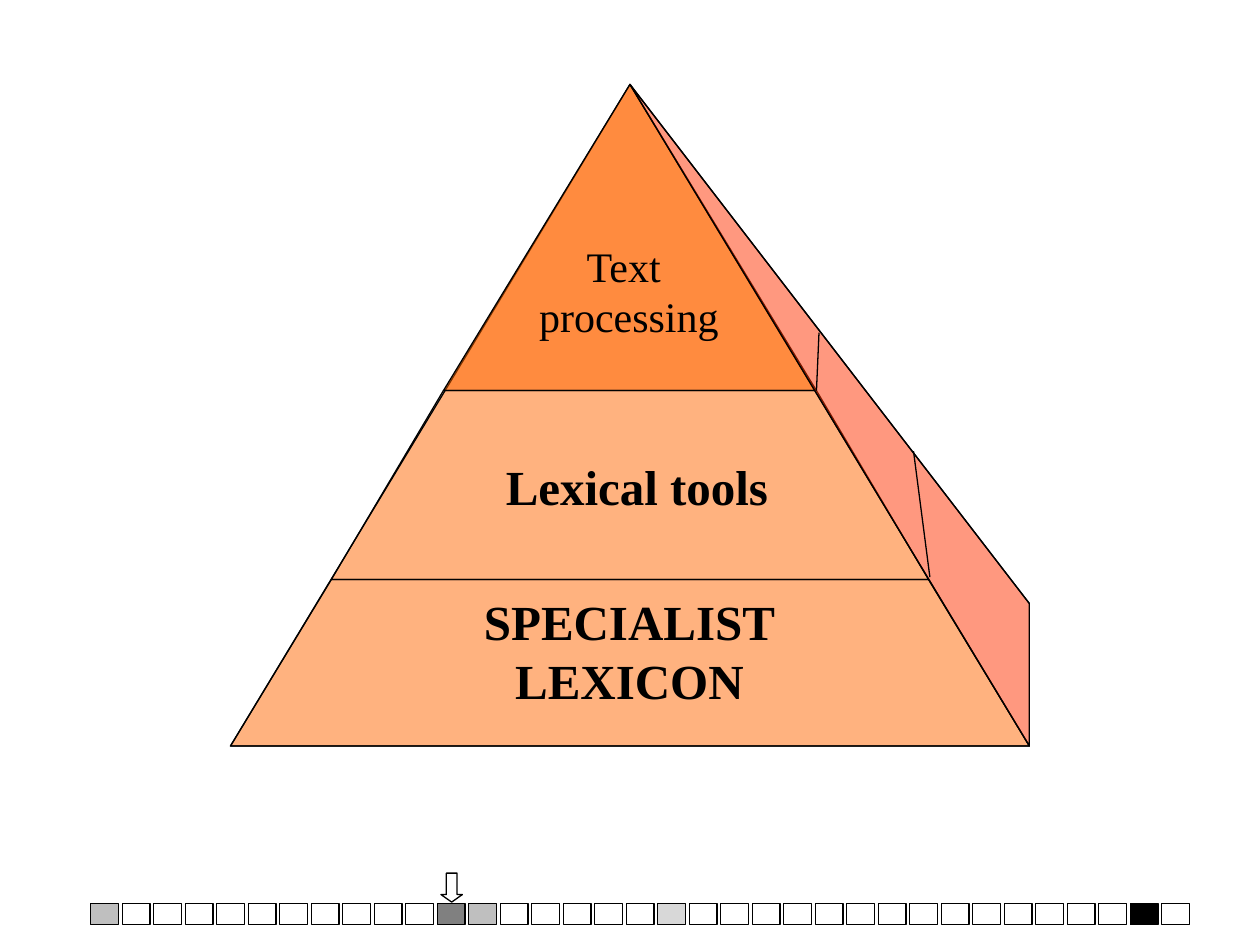
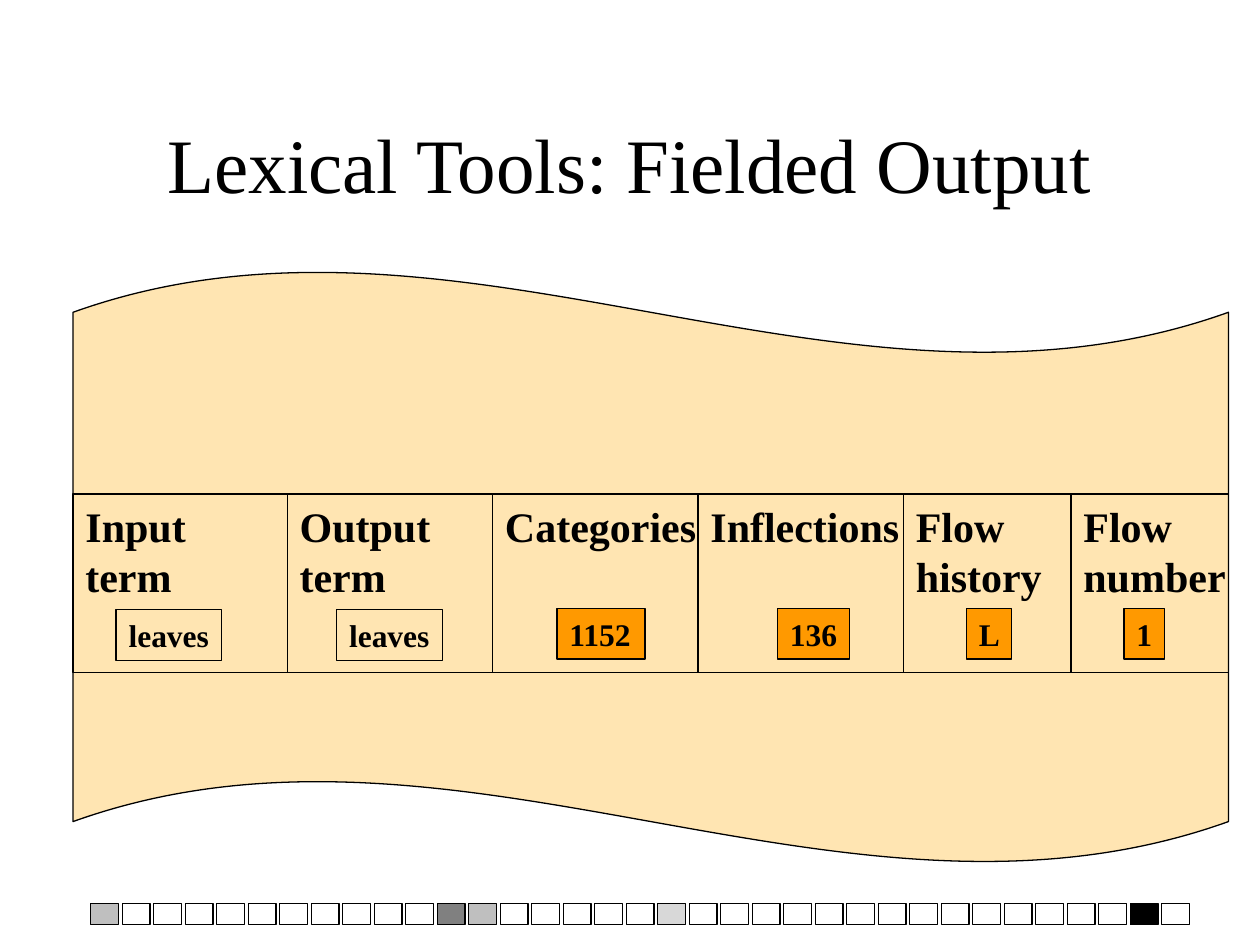
from lxml import etree
from pptx import Presentation
from pptx import util as u
from pptx.dml.color import RGBColor
from pptx.enum import shapes, text
from pptx.oxml.ns import qn

FONT = "Times New Roman"
LINE_WIDTH = 0.75
COLORS = {
    "ink": "000000", "paper": "FFFFFF", "gray": "808080", "silver": "B2B2B2",
    "orange": "FF6600", "red": "FF3300", "sand": "FFCC66", "amber": "FF9900",
}

# Progress strip: square index -> (colour, opacity in percent)
SQUARE_COUNT, SQUARE_STEP = 35, 0.25
SQUARE_LEFT, SQUARE_TOP, SQUARE_SIZE = 0.72, 7.17, (0.22, 0.17)
MARKED_SQUARES = {0: ("gray", 50), 11: ("gray", 100), 12: ("gray", 50),
                  18: ("silver", 50), 33: ("ink", 100)}
CURRENT_SQUARE = 11

# Pyramid corners, from the apex down
APEX = (5, 0.67)
UPPER_LEFT, UPPER_RIGHT = (3.52, 3.10), (6.48, 3.10)
LOWER_LEFT, LOWER_RIGHT = (2.63, 4.60), (7.37, 4.60)
BASE_LEFT, BASE_RIGHT = (1.83, 5.92), (8.17, 5.92)
BACK_CORNER = (8.17, 4.79)
TIERS = [  # corners, colour
    ([UPPER_LEFT, APEX, UPPER_RIGHT], "orange"),
    ([LOWER_LEFT, UPPER_LEFT, UPPER_RIGHT, LOWER_RIGHT], None),
    ([BASE_LEFT, LOWER_LEFT, LOWER_RIGHT, BASE_RIGHT], None),
    ([BASE_RIGHT, APEX, BACK_CORNER], "red"),
]
EDGES = [(APEX, BACK_CORNER), (BASE_RIGHT, BACK_CORNER),
         ((7.38, 4.58), (7.25, 3.58)), (UPPER_RIGHT, (6.50, 2.64))]
TIER_LABELS = [  # lines, box, size, bold
    (["Text", " processing"], (4.01, 1.79, 1.88, 1.03), 24, False),
    (["Lexical tools"], (3.52, 3.48, 3.07, 0.75), 28, True),
    (["SPECIALIST", "LEXICON"], (2.72, 4.60, 4.55, 1.12), 28, True),
]

# Output record: heading lines, column left, value, value box, value colour
TITLE = "Lexical Tools: Fielded Output"
FIELDS = [
    (["Input", "term"], 0.58, "leaves", (0.92, 4.84, 0.84, 0.4), None),
    (["Output", "term"], 2.28, "leaves", (2.67, 4.84, 0.84, 0.4), None),
    (["Categories"], 3.91, "1152", (4.42, 4.83, 0.70, 0.4), "amber"),
    (["Inflections"], 5.54, "136", (6.17, 4.83, 0.57, 0.4), "amber"),
    (["Flow", "history"], 7.17, "L", (7.67, 4.83, 0.36, 0.4), "amber"),
    (["Flow", "number"], 8.50, "1", (8.92, 4.83, 0.32, 0.4), "amber"),
]
RECORD_RIGHT, RECORD_TOP, RECORD_HEIGHT = 9.75, 3.92, 1.42


def inches(values):
    return [u.Inches(value) for value in values]


def rgb(name):
    return RGBColor.from_string(COLORS[name])


def style_shape(shape, color=None, opacity=100):
    shape.shadow.inherit = False
    shape.line.color.rgb = rgb("ink")
    shape.line.width = u.Pt(LINE_WIDTH)
    if color is None:
        shape.fill.background()
        return
    shape.fill.solid()
    shape.fill.fore_color.rgb = rgb(color)
    if opacity < 100:
        fill_color = shape.element.spPr.find(f"{qn('a:solidFill')}/{qn('a:srgbClr')}")
        etree.SubElement(fill_color, qn("a:alpha"), val=str(opacity * 1000))


def add_preset(slide, kind, box, color=None, opacity=100):
    shape = slide.shapes.add_shape(kind, *inches(box))
    style_shape(shape, color, opacity)
    return shape


def add_polygon(slide, corners, color):
    points = [inches(corner) for corner in corners]
    builder = slide.shapes.build_freeform(*points[0])
    builder.add_line_segments(points[1:], close=True)
    style_shape(builder.convert_to_shape(), color, 50)


def add_edge(slide, start, end):
    edge = slide.shapes.add_connector(shapes.MSO_CONNECTOR.STRAIGHT,
                                      *inches(start + end))
    edge.line.color.rgb = rgb("ink")
    edge.line.width = u.Pt(LINE_WIDTH)
    etree.SubElement(edge.element.spPr, qn("a:effectLst"))


def write(shape, lines, size, bold=False, centered=True, wrap=False):
    frame = shape.text_frame
    frame.text = "\n".join(lines)
    frame.word_wrap = wrap
    frame.auto_size = text.MSO_AUTO_SIZE.NONE
    frame.vertical_anchor = text.MSO_ANCHOR.MIDDLE if centered else text.MSO_ANCHOR.TOP
    for paragraph in frame.paragraphs:
        paragraph.alignment = text.PP_ALIGN.CENTER if centered else text.PP_ALIGN.LEFT
        for run in paragraph.runs:
            run.font.name, run.font.size, run.font.bold = FONT, u.Pt(size), bold
            run.font.color.rgb = rgb("ink")


def add_strip_to_master(presentation, slide):
    master = presentation.slide_master
    master.background.fill.solid()
    master.background.fill.fore_color.rgb = rgb("paper")
    for index in range(SQUARE_COUNT):
        left = SQUARE_LEFT + index * SQUARE_STEP
        square = add_preset(slide, shapes.MSO_SHAPE.RECTANGLE,
                            (left, SQUARE_TOP, *SQUARE_SIZE),
                            *MARKED_SQUARES.get(index, (None,)))
        square.element.nvSpPr.cNvPr.set("id", str(100 + index))
        master.shapes.element.append(square.element)


def build_pyramid(slide):
    add_preset(slide, shapes.MSO_SHAPE.ISOSCELES_TRIANGLE,
               (BASE_LEFT[0], APEX[1], BASE_RIGHT[0] - BASE_LEFT[0],
                BASE_LEFT[1] - APEX[1]), "orange", 50)
    for corners, color in TIERS:
        add_polygon(slide, corners, color)
    for start, end in EDGES:
        add_edge(slide, start, end)
    for lines, box, size, bold in TIER_LABELS:
        write(slide.shapes.add_textbox(*inches(box)), lines, size, bold)

    # Arrow over the current square
    arrow_left = SQUARE_LEFT + CURRENT_SQUARE * SQUARE_STEP + 0.03
    arrow = add_preset(slide, shapes.MSO_SHAPE.DOWN_ARROW,
                       (arrow_left, 6.93, 0.17, 0.23))
    arrow.adjustments[1] = 0.35


def build_record(slide):
    title = slide.shapes.title
    title.left, title.top, title.width, title.height = inches((0.75, 0.67, 8.5, 1.25))
    write(title, [TITLE], 44, wrap=True)

    # Wavy sheet behind the record
    left = FIELDS[0][1]
    wave = add_preset(slide, shapes.MSO_SHAPE.WAVE,
                      (left, 2.15, RECORD_RIGHT - left, 4.7), "sand", 50)
    wave.adjustments[0] = 0.07

    # Columns with their values
    column_ends = [field[1] for field in FIELDS[1:]] + [RECORD_RIGHT]
    for (heading, left, value, box, color), right in zip(FIELDS, column_ends):
        column = add_preset(slide, shapes.MSO_SHAPE.RECTANGLE,
                            (left, RECORD_TOP, right - left, RECORD_HEIGHT))
        write(column, heading, 24, bold=True, centered=False)
        badge = add_preset(slide, shapes.MSO_SHAPE.RECTANGLE, box, color)
        write(badge, [value], 18, bold=True, centered=color is None)
        if color:  # spare room keeps the left-aligned value on one line
            badge.text_frame.margin_right = 0


def main():
    presentation = Presentation()
    presentation.slide_width, presentation.slide_height = inches((10, 7.5))
    title_only, blank = presentation.slide_layouts[5], presentation.slide_layouts[6]

    pyramid_slide = presentation.slides.add_slide(blank)
    add_strip_to_master(presentation, pyramid_slide)
    build_pyramid(pyramid_slide)
    build_record(presentation.slides.add_slide(title_only))
    presentation.save("out.pptx")


if __name__ == "__main__":
    main()
